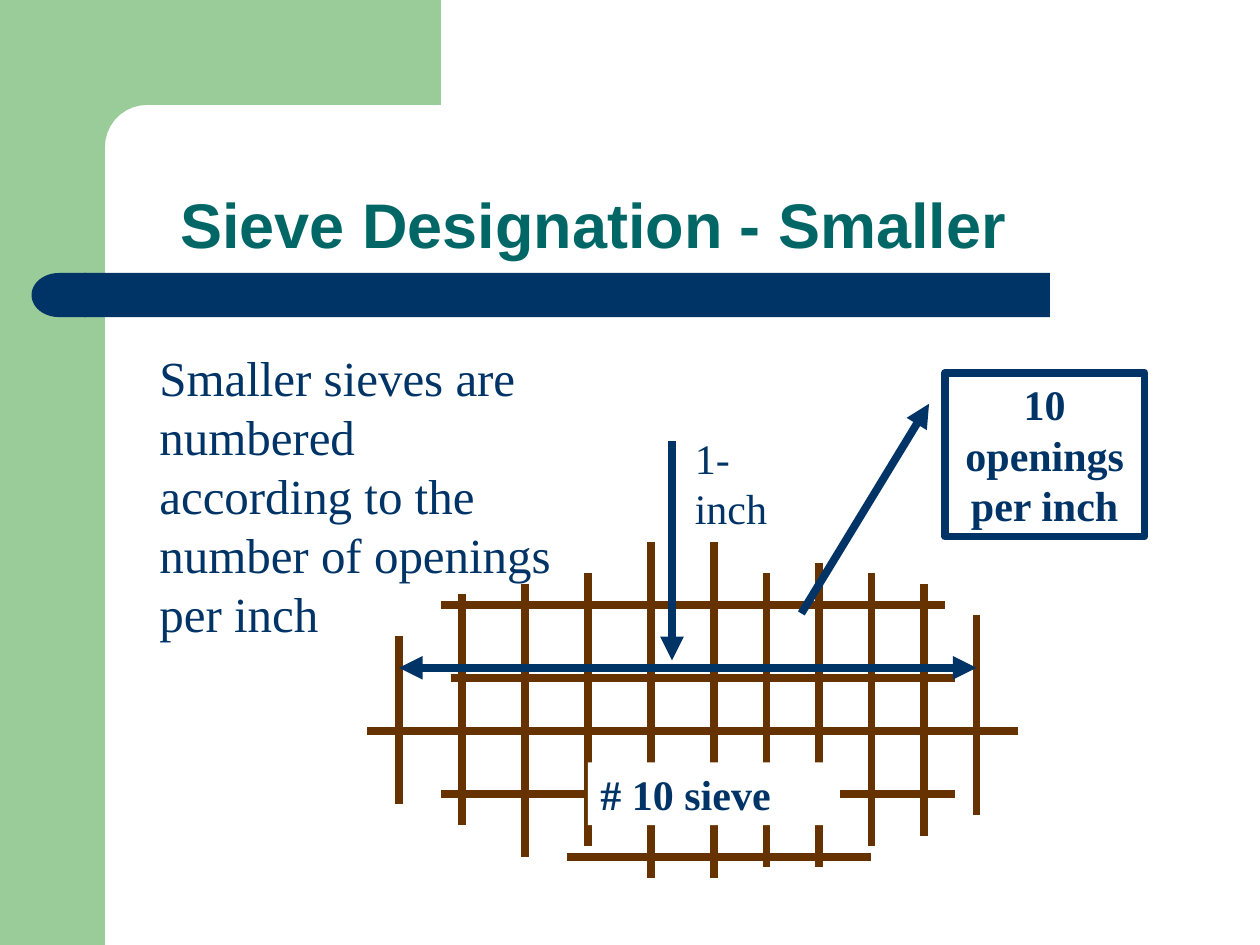
import math
from lxml import etree
from pptx import Presentation, util as u
from pptx.dml.color import RGBColor
from pptx.enum import shapes as sh, text as tx
from pptx.oxml.ns import qn

COLORS = {"green": "99CC99", "navy": "003366", "teal": "006666",
          "brown": "663300", "white": "FFFFFF"}
UNIT = u.Inches(1) / 12  # grid of 120 columns by 90 rows
ROW_SHIFT = 0.6          # the mesh sits a little below the grid rows
STROKE = 4.5

# Mesh wires: (column, top row, bottom row) and (row, left column, right column)
UPRIGHT_WIRES = [(38, 60, 76), (44, 56, 78), (50, 55, 81), (56, 54, 80),
                 (62, 51, 83), (68, 51, 83), (73, 54, 82), (78, 53, 82),
                 (83, 54, 80), (88, 55, 79), (93, 58, 77)]
CROSS_WIRES = [(57, 42, 90), (64, 43, 91), (69, 35, 97), (75, 42, 91), (81, 54, 83)]


def grid(*cells):
    return [u.Emu(round(cell * UNIT)) for cell in cells]


def rgb(color):
    return RGBColor.from_string(COLORS[color])


def add_block(slide, kind, cells, fill):
    block = slide.shapes.add_shape(kind, *grid(*cells))
    return paint(block, fill)


def paint(block, fill):
    block.shadow.inherit = False
    block.fill.solid()
    block.fill.fore_color.rgb = rgb(fill)
    block.line.fill.background()
    return block


def add_arrowheads(shape, ends):
    line = shape.line._get_or_add_ln()
    for end in ends:
        etree.SubElement(line, qn(f"a:{end}"), type="triangle")


def stroke(shape, color):
    shape.line.color.rgb = rgb(color)
    shape.line.width = u.Pt(STROKE)


def add_line(slide, start, finish, color, ends=()):
    line = slide.shapes.add_connector(sh.MSO_CONNECTOR.STRAIGHT, *grid(*start, *finish))
    stroke(line, color)
    add_arrowheads(line, ends)
    etree.SubElement(line._element.spPr, qn("a:effectLst"))


def write(shape, words, size, color="navy", font="Times New Roman", bold=False,
          align=tx.PP_ALIGN.LEFT, anchor=tx.MSO_ANCHOR.TOP):
    frame = shape.text_frame
    frame.word_wrap = True
    frame.vertical_anchor = anchor
    frame.text = words
    paragraph = frame.paragraphs[0]
    paragraph.alignment = align
    style = paragraph.runs[0].font
    style.name, style.size, style.bold = font, u.Pt(size), bold
    style.color.rgb = rgb(color)
    return paragraph


def add_text(slide, cells, words, size, **style):
    box = slide.shapes.add_textbox(*grid(*cells))
    return write(box, words, size, **style)


def add_frame(slide):
    # Green side band and top band, joined by a rounded inner corner
    add_block(slide, sh.MSO_SHAPE.RECTANGLE, (0, 0, 10, 90), "green")
    radius, centre = 4, 14
    turns = [math.radians(270 - 10 * step) for step in range(10)]
    corner = [(centre + radius * math.cos(turn), centre + radius * math.sin(turn))
              for turn in turns]
    outline = [(42, 10), *corner, (10, 15.4), (6, 15.4), (6, 0)]
    band = slide.shapes.build_freeform(*grid(42, 0), scale=1.0)
    band.add_line_segments([grid(*point) for point in outline], close=True)
    paint(band.convert_to_shape(), "green")
    # Navy rule with a round left end
    add_block(slide, sh.MSO_SHAPE.RECTANGLE, (8, 26, 92, 4.2), "navy")
    cap = add_block(slide, sh.MSO_SHAPE.FLOWCHART_DELAY, (3, 26, 5.2, 4.2), "navy")
    cap.rotation = 180


def add_mesh(slide):
    for column, top, bottom in UPRIGHT_WIRES:
        add_line(slide, (column, top + ROW_SHIFT), (column, bottom + ROW_SHIFT), "brown")
    for row, left, right in CROSS_WIRES:
        add_line(slide, (left, row + ROW_SHIFT), (right, row + ROW_SHIFT), "brown")
    label = add_block(slide, sh.MSO_SHAPE.RECTANGLE, (56, 72.6, 24, 6), "white")
    write(label, "# 10 sieve", 24, bold=True)


def add_openings_callout(slide):
    callout = add_block(slide, sh.MSO_SHAPE.LINE_CALLOUT_1, (90, 35.5, 19, 15.6), "white")
    for index, share in enumerate((0.19, -0.08, 1.47, -0.72)):
        callout.adjustments[index] = share
    stroke(callout, "navy")
    add_arrowheads(callout, ["headEnd"])
    write(callout, "10 openings per inch", 24, bold=True,
          align=tx.PP_ALIGN.CENTER)


def add_inch_measure(slide):
    add_line(slide, (38, 63.6), (93, 63.6), "navy", ["headEnd", "tailEnd"])
    add_line(slide, (64, 42), (64, 62.9), "navy", ["tailEnd"])
    label = add_block(slide, sh.MSO_SHAPE.RECTANGLE, (65, 40.6, 12, 10.8), "white")
    write(label, "1-inch", 24)


def main():
    deck = Presentation()
    deck.slide_width, deck.slide_height = grid(120, 90)
    slide = deck.slides.add_slide(deck.slide_layouts[6])
    add_frame(slide)
    title = add_text(slide, (16, 10.6, 104, 15), "Sieve Designation - Smaller", 36,
                     color="teal", font="Arial", bold=True, anchor=tx.MSO_ANCHOR.BOTTOM)
    title.line_spacing = 0.9
    add_mesh(slide)
    add_openings_callout(slide)
    add_inch_measure(slide)
    add_text(slide, (14, 32.5, 40.2, 29.3),
             "Smaller sieves are numbered according to the number of openings per inch",
             28, anchor=tx.MSO_ANCHOR.MIDDLE)
    deck.save("out.pptx")


if __name__ == "__main__":
    main()
